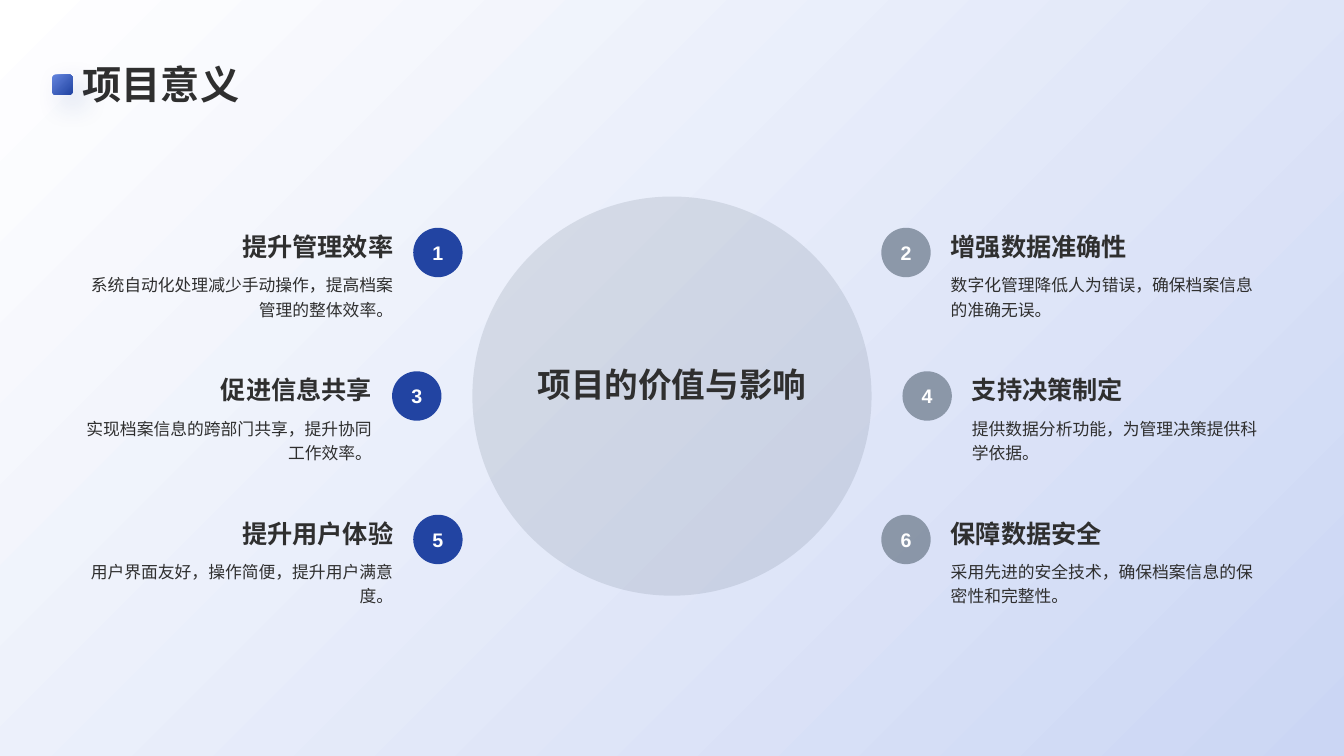
import pptx
import pptx.dml.color
import pptx.enum.shapes
import pptx.enum.text
import pptx.oxml
import pptx.oxml.ns
import pptx.util

RGBColor = pptx.dml.color.RGBColor
INK = RGBColor(0x2F, 0x2F, 0x2F)
WHITE = RGBColor(0xFF, 0xFF, 0xFF)
NAVY = RGBColor(0x22, 0x44, 0xA2)
SKY = RGBColor(0x63, 0x84, 0xDE)
SLATE = RGBColor(0x77, 0x84, 0x95)
MIST = RGBColor(0xCB, 0xD6, 0xF4)

ALIGN = pptx.enum.text.PP_ALIGN
ANCHOR = pptx.enum.text.MSO_ANCHOR
SHAPE = pptx.enum.shapes.MSO_SHAPE

COLUMNS, ROWS = 40, 22.5
MARGIN = 2.16
BADGE_SIZE = 1.47
FIRST_ROW, ROW_PITCH = 6.51, 4.27
HEADING_HEIGHT, BODY_HEIGHT = 1.41, 2.52

BENEFITS = [
    ("提升管理效率", "系统自动化处理减少手动操作，提高档案管理的整体效率。"),
    ("增强数据准确性", "数字化管理降低人为错误，确保档案信息的准确无误。"),
    ("促进信息共享", "实现档案信息的跨部门共享，提升协同工作效率。"),
    ("支持决策制定", "提供数据分析功能，为管理决策提供科学依据。"),
    ("提升用户体验", "用户界面友好，操作简便，提升用户满意度。"),
    ("保障数据安全", "采用先进的安全技术，确保档案信息的保密性和完整性。"),
]
INNER_EDGES = [12, 11.37, 12]


def write(frame, text, size=12, color=INK, bold=False, align=ALIGN.LEFT,
          anchor=ANCHOR.TOP, spacing=1.0, insets=(0.1, 0.05, 0.1, 0.05)):
    frame.word_wrap = True
    frame.auto_size = pptx.enum.text.MSO_AUTO_SIZE.NONE
    frame.vertical_anchor = anchor
    (frame.margin_left, frame.margin_top,
     frame.margin_right, frame.margin_bottom) = map(pptx.util.Inches, insets)
    paragraph = frame.paragraphs[0]
    paragraph.alignment = align
    paragraph.line_spacing = spacing
    run = paragraph.add_run()
    run.text = text
    run.font.name = "Arial"
    run.font.size = pptx.util.Pt(size)
    run.font.bold = bold
    run.font.color.rgb = color


def blend(fill, start, end, angle):
    fill.gradient()
    fill.gradient_angle = angle
    for stop, color in zip(fill.gradient_stops, (start, end)):
        stop.color.rgb = color


class Board:
    def __init__(self, presentation):
        self.cell_width = presentation.slide_width / COLUMNS
        self.cell_height = presentation.slide_height / ROWS
        self.slide = presentation.slides.add_slide(presentation.slide_layouts[5])
        blend(self.slide.background.fill, MIST, WHITE, 135)

    def place(self, column, row, columns, rows):
        return [round(value) for value in (
            column * self.cell_width, row * self.cell_height,
            columns * self.cell_width, rows * self.cell_height)]

    def title(self, text, *cells):
        heading = self.slide.shapes.title
        heading.left, heading.top, heading.width, heading.height = self.place(*cells)
        write(heading.text_frame, text, size=28, bold=True, anchor=ANCHOR.BOTTOM)

    def text(self, text, *cells, **style):
        box = self.slide.shapes.add_textbox(*self.place(*cells))
        write(box.text_frame, text, **style)

    def shape(self, kind, *cells):
        shape = self.slide.shapes.add_shape(kind, *self.place(*cells))
        shape.shadow.inherit = False
        shape.line.fill.background()
        return shape

    def circle(self, column, row, size, color, opacity=100):
        disc = self.shape(SHAPE.OVAL, column, row, size, size)
        disc.fill.solid()
        disc.fill.fore_color.rgb = color
        if opacity < 100:
            tint = disc.element.spPr.find(".//" + pptx.oxml.ns.qn("a:srgbClr"))
            tint.append(pptx.oxml.parse_xml(
                f'<a:alpha {pptx.oxml.ns.nsdecls("a")} val="{opacity * 1000}"/>'))
        return disc

    def marker(self, *cells):
        marker = self.shape(SHAPE.ROUNDED_RECTANGLE, *cells)
        blend(marker.fill, SKY, NAVY, 315)
        effects = marker.element.spPr.find(pptx.oxml.ns.qn("a:effectLst"))
        effects.append(pptx.oxml.parse_xml(
            f'<a:outerShdw {pptx.oxml.ns.nsdecls("a")} blurRad="{pptx.util.Pt(20)}" '
            f'dist="{pptx.util.Pt(10)}" dir="2700000" algn="tl" rotWithShape="0">'
            f'<a:srgbClr val="{NAVY}"><a:alpha val="20000"/></a:srgbClr>'
            '</a:outerShdw>'))

    def benefit(self, number, heading, body):
        line, on_right = divmod(number - 1, 2)
        edge = INNER_EDGES[line]
        top = FIRST_ROW + line * ROW_PITCH
        width = edge - MARGIN
        if on_right:
            left, badge_left = COLUMNS - edge, COLUMNS - edge - 0.3 - BADGE_SIZE
            align, color, opacity = ALIGN.LEFT, SLATE, 80
        else:
            left, badge_left = MARGIN, edge + 0.3
            align, color, opacity = ALIGN.RIGHT, NAVY, 100
        self.text(heading, left, top, width, HEADING_HEIGHT,
                  size=18, bold=True, align=align, anchor=ANCHOR.BOTTOM)
        badge = self.circle(badge_left, top + 0.27, BADGE_SIZE, color, opacity)
        write(badge.text_frame, str(number), size=14, color=WHITE, bold=True,
              align=ALIGN.CENTER, anchor=ANCHOR.MIDDLE, insets=(0, 0, 0, 0))
        self.text(body, left, top + HEADING_HEIGHT, width, BODY_HEIGHT,
                  align=align, spacing=1.2, insets=(0.1, 0.05, 0.1, 0))


def main():
    presentation = pptx.Presentation()
    presentation.slide_width = pptx.util.Inches(13.33)
    presentation.slide_height = pptx.util.Inches(7.5)
    board = Board(presentation)
    board.marker(1.56, 2.22, 0.6, 0.6)
    board.title("项目意义", MARGIN, 0.42, 35.64, 2.94)
    board.circle(14.06, 5.85, 11.88, SLATE, 20)
    for number, (heading, body) in enumerate(BENEFITS, 1):
        board.benefit(number, heading, body)
    board.text("项目的价值与影响", 14.54, 8.64, 10.92, 5.61, size=24, bold=True,
               align=ALIGN.CENTER, anchor=ANCHOR.MIDDLE)
    presentation.save("out.pptx")


if __name__ == "__main__":
    main()
